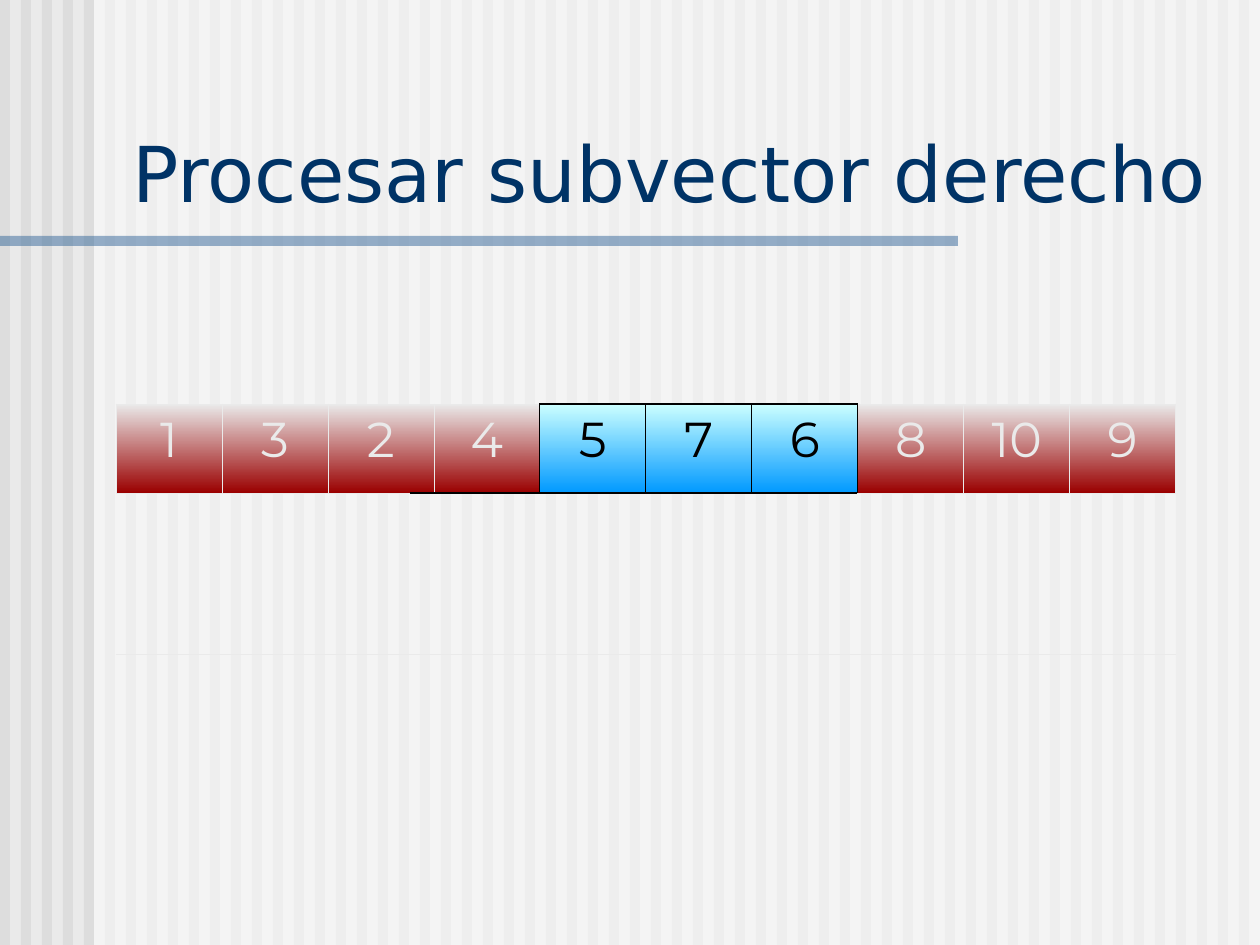
from dataclasses import dataclass
from lxml import etree
from pptx import Presentation
from pptx.dml.color import RGBColor
from pptx.enum.shapes import MSO_SHAPE
from pptx.enum.text import MSO_ANCHOR, MSO_AUTO_SIZE, PP_ALIGN
from pptx.oxml.ns import qn
from pptx.util import Emu, Pt

# Content: value, columns spanned, belongs to the right subvector
TITLE = "Procesar subvector derecho"
VECTOR = [("1", 1, False), ("3", 1, False), ("2", 2, False), ("4", 1, False),
          ("5", 2, True), ("7", 1, True), ("6", 1, True),
          ("8", 1, False), ("10", 1, False), ("9", 1, False)]
COLS = [106, 106, 82, 24, 106, 27, 79] + [106] * 5
ROWS = [89, 89, 161]
TOP_SPANS = [(2, 3), (5, 6)]
BOTTOM_SPANS = [(3, 5)]


@dataclass
class Theme:
    back: str = "EAEAEA"
    stripe: str = "DDDDDD"
    veil: str = "FFFFFF"
    rule: str = "336699"
    title: str = "003366"
    dark: str = "000000"
    idle: tuple = ("EAEAEA", "9A0000")
    active: tuple = ("CCFFFF", "0099FF")
    title_font: str = "DejaVu Sans"
    cell_font: str = "Montserrat"
    title_size: int = 44
    cell_size: int = 28
    thin: float = 0.45
    thick: float = 1.08


T = Theme()
NO_STYLE = "{2D5ABB26-0587-4C30-8999-92F81FD0307C}"


def px(n):
    return Emu(n * 914400 // 126)


def rgb(c):
    return RGBColor.from_string(c)


def add_bar(s, x, y, w, h, color, alpha=None):
    sp = s.shapes.add_shape(MSO_SHAPE.RECTANGLE, px(x), px(y), px(w), px(h))
    sp.shadow.inherit = False
    sp.line.fill.background()
    sp.fill.solid()
    sp.fill.fore_color.rgb = rgb(color)
    if alpha:
        clr = sp._element.spPr.find(".//" + qn("a:srgbClr"))
        etree.SubElement(clr, qn("a:alpha"), val=str(alpha * 1000))


def write(tf, text, *, font, size, color, align):
    p = tf.paragraphs[0]
    p.alignment = align
    r = p.add_run()
    r.text = text
    r.font.name, r.font.size = font, Pt(size)
    r.font.color.rgb = rgb(color)


def set_borders(cell, **sides):
    """Each side (L, R, T, B) is a (colour, width) pair."""
    tcPr = cell._tc.get_or_add_tcPr()
    present = [side for side in "LRTB" if side in sides]
    for i, side in enumerate(present):
        color, width = sides[side]
        ln = etree.Element(qn("a:ln" + side), w=str(Pt(width)))
        fill = etree.SubElement(ln, qn("a:solidFill"))
        etree.SubElement(fill, qn("a:srgbClr"), val=color)
        tcPr.insert(i, ln)


def fill_gradient(cell, colors):
    cell.fill.gradient()
    cell.fill.gradient_angle = 270
    for stop, color in zip(cell.fill.gradient_stops, colors):
        stop.color.rgb = rgb(color)


def add_vector(s, x, y):
    table = s.shapes.add_table(len(ROWS), len(COLS), px(x), px(y),
                               px(sum(COLS)), px(sum(ROWS))).table
    table.first_row = table.horz_banding = False
    table._tbl.tblPr.find(qn("a:tableStyleId")).text = NO_STYLE
    for col, w in zip(table.columns, COLS):
        col.width = px(w)
    for row, h in zip(table.rows, ROWS):
        row.height = px(h)

    light, dark = (T.back, T.thin), (T.dark, T.thin)
    edge = (T.dark, T.thick)

    # Middle row: the values
    active_cols, c = set(), 0
    for i, (value, span, active) in enumerate(VECTOR):
        cell = table.cell(1, c)
        cols = range(c, c + span)
        if span > 1:
            cell.merge(table.cell(1, cols[-1]))
        if active:
            active_cols.update(cols)
        near_left = active or (i > 0 and VECTOR[i - 1][2])
        near_right = active or (i + 1 < len(VECTOR) and VECTOR[i + 1][2])
        fill_gradient(cell, T.active if active else T.idle)
        for k in cols:
            set_borders(table.cell(1, k), L=dark if near_left else light,
                        R=dark if near_right else light,
                        T=edge if active else light,
                        B=edge if active else light)
        write(cell.text_frame, value, font=T.cell_font, size=T.cell_size,
              color=T.dark if active else T.back, align=PP_ALIGN.CENTER)
        c += span

    # Empty rows above and below
    for row, spans in ((0, TOP_SPANS), (2, BOTTOM_SPANS)):
        for first, last in spans:
            table.cell(row, first).merge(table.cell(row, last))
    bottom_dark = active_cols | {k for a, b in BOTTOM_SPANS for k in range(a, b + 1)}
    for c in range(len(COLS)):
        for row in (0, 2):
            table.cell(row, c).fill.background()
        set_borders(table.cell(0, c), B=edge if c in active_cols else light)
        set_borders(table.cell(2, c), T=edge if c in bottom_dark else light, B=light)


def main():
    prs = Presentation()
    prs.slide_width, prs.slide_height = px(1260), px(945)
    s = prs.slides.add_slide(prs.slide_layouts[5])
    s.background.fill.solid()
    s.background.fill.fore_color.rgb = rgb(T.back)

    # Striped backdrop, veil and title rule
    for x in range(0, 1260, 21):
        add_bar(s, x, 0, 10, 945, T.stripe)
    add_bar(s, 94, 0, 1166, 945, T.veil, alpha=50)
    add_bar(s, 0, 236, 958, 10, T.rule, alpha=50)

    add_vector(s, 116, 315)

    # Title, in front of the backdrop
    title = s.shapes.title
    s.shapes._spTree.append(title._element)
    title.left, title.top, title.width, title.height = map(px, (120, 118, 1125, 106))
    tf = title.text_frame
    tf.word_wrap = True
    tf.auto_size = MSO_AUTO_SIZE.SHAPE_TO_FIT_TEXT
    tf.vertical_anchor = MSO_ANCHOR.BOTTOM
    write(tf, TITLE, font=T.title_font, size=T.title_size, color=T.title,
          align=PP_ALIGN.LEFT)

    prs.save("out.pptx")


if __name__ == "__main__":
    main()
